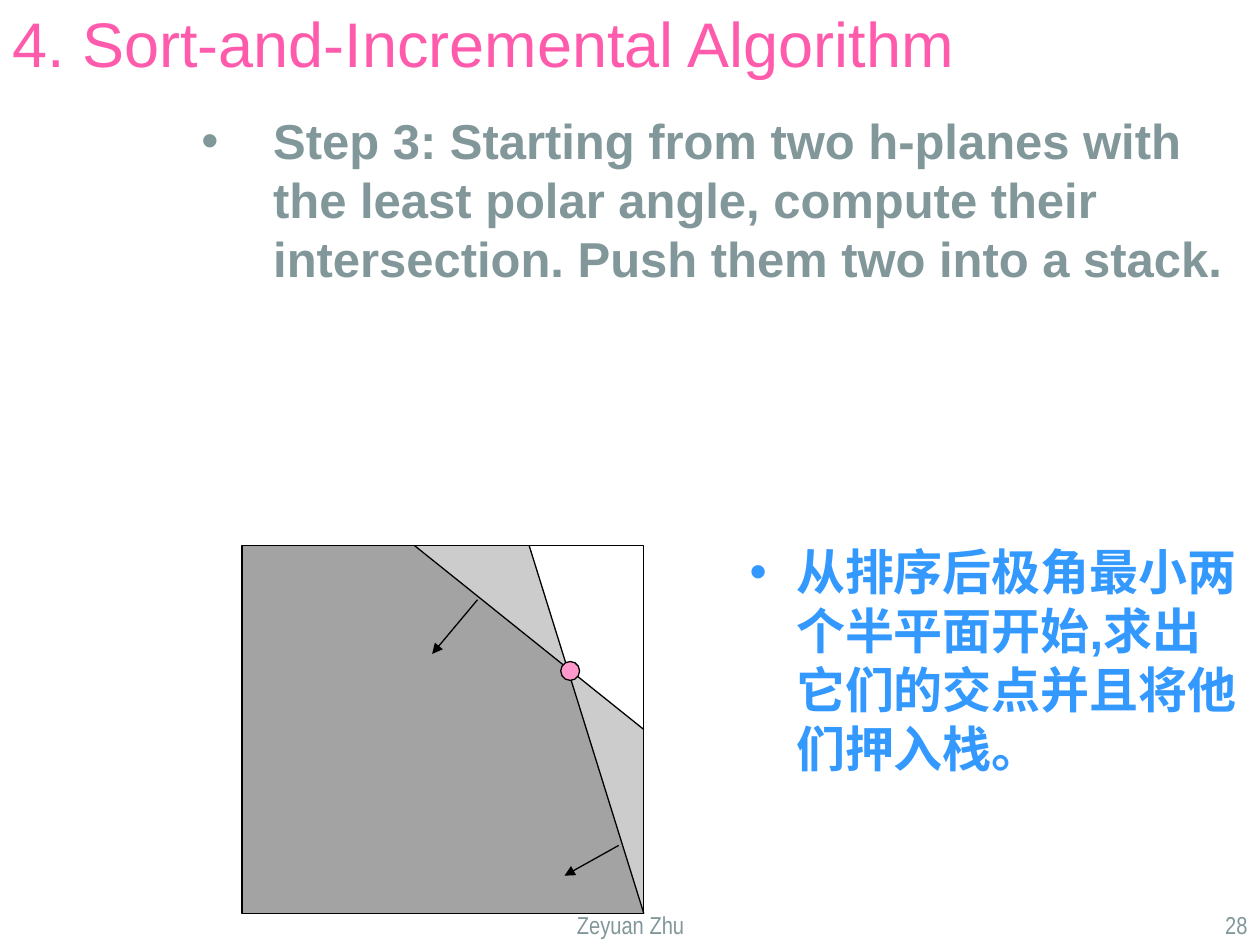
from dataclasses import dataclass

from lxml import etree
from pptx import Presentation
from pptx.dml.color import RGBColor
from pptx.enum.shapes import MSO_CONNECTOR as CONNECTOR, MSO_SHAPE as SHAPE
from pptx.enum.text import MSO_ANCHOR as ANCHOR, PP_ALIGN as ALIGN
from pptx.oxml.ns import qn
from pptx.util import Inches, Pt


@dataclass(frozen=True)
class Theme:
    pink: str = "FF5BAD"
    blue: str = "3399FF"
    gray: str = "82979A"
    black: str = "000000"
    point: str = "FF99CC"
    font: str = "Arial"
    footer_font: str = "Arial Narrow"
    title_size: int = 36
    body_size: int = 28
    footer_size: int = 14
    body_leading: float = 33.7
    line_width: float = 0.74
    shade_opacity: int = 20


THEME = Theme()


def rgb(color):
    return RGBColor.from_string(color)


def add_text(slide, box, text, size, color, font=THEME.font, bold=False,
             align=ALIGN.LEFT, anchor=ANCHOR.TOP):
    frame = slide.shapes.add_textbox(*map(Inches, box)).text_frame
    frame.word_wrap = True
    frame.vertical_anchor = anchor
    frame.text = text
    paragraph = frame.paragraphs[0]
    paragraph.alignment = align
    style = paragraph.runs[0].font
    style.name, style.size, style.bold = font, Pt(size), bold
    style.color.rgb = rgb(color)
    return paragraph


def add_bullet(slide, box, text, color, margin, hanging):
    paragraph = add_text(slide, box, text, THEME.body_size, color, bold=True)
    paragraph.space_before = Pt(7)
    paragraph.line_spacing = Pt(THEME.body_leading)
    props = paragraph._p.get_or_add_pPr()
    props.set("marL", str(Inches(margin)))
    props.set("indent", str(-Inches(hanging)))
    bullet_color = etree.SubElement(props, qn("a:buClr"))
    etree.SubElement(bullet_color, qn("a:srgbClr"), val=color)
    etree.SubElement(props, qn("a:buFont"), typeface=THEME.font)
    etree.SubElement(props, qn("a:buChar"), char="•")


def outline(shape):
    shape.line.color.rgb = rgb(THEME.black)
    shape.line.width = Pt(THEME.line_width)


def add_line(shapes, start, end, arrow=False):
    line = shapes.add_connector(CONNECTOR.STRAIGHT, *start, *end)
    outline(line)
    etree.SubElement(line._element.spPr, qn("a:effectLst"))
    if arrow:
        etree.SubElement(line.line._get_or_add_ln(), qn("a:tailEnd"), type="triangle")


def add_shade(shapes, corners):
    builder = shapes.build_freeform(*corners[0])
    builder.add_line_segments(corners[1:], close=True)
    shade = builder.convert_to_shape()
    shade.shadow.inherit = False
    shade.fill.solid()
    shade.fill.fore_color.rgb = rgb(THEME.black)
    shade.line.fill.background()
    color = shade._element.spPr.find(qn("a:solidFill"))[0]
    etree.SubElement(color, qn("a:alpha"), val=str(THEME.shade_opacity * 1000))


def add_outlined_shape(slide, kind, box):
    shape = slide.shapes.add_shape(kind, *map(Inches, box))
    shape.shadow.inherit = False
    shape.fill.background()
    outline(shape)
    return shape


def draw_half_planes(slide, box):
    left, top, width, height = box

    def place(point):
        return Inches(left + point[0]), Inches(top + point[1])

    def half_plane(corners, border, normal, shade_first):
        group = slide.shapes.add_group_shape().shapes
        corners, border, normal = [list(map(place, part))
                                   for part in (corners, border, normal)]
        if shade_first:
            add_shade(group, corners)
        add_line(group, *border)
        add_line(group, *normal, arrow=True)
        if not shade_first:
            add_shade(group, corners)

    # Bounding frame
    add_outlined_shape(slide, SHAPE.RECTANGLE, box)

    # Steep and shallow half-planes, each with its inward normal
    top_left, bottom_left, bottom_right = (0, 0), (0, height), (width, height)
    steep = [(2.28, 0), bottom_right]
    shallow = [(1.37, 0), (width, 1.46)]
    half_plane([top_left, *steep, bottom_left], steep,
               [(2.99, 2.38), (2.56, 2.62)], shade_first=True)
    half_plane([top_left, *shallow, bottom_right, bottom_left], shallow,
               [(1.87, 0.43), (1.51, 0.86)], shade_first=False)

    # Intersection point
    crossing = add_outlined_shape(slide, SHAPE.OVAL,
                                  (left + 2.53, top + 0.92, 0.15, 0.15))
    crossing.fill.solid()
    crossing.fill.fore_color.rgb = rgb(THEME.point)


def add_footer(slide, box, author, number):
    left, top, width, height = box
    for text, start, span, align in ((author, 0, 3.17, ALIGN.CENTER),
                                     (number, width - 2.08, 2.08, ALIGN.RIGHT)):
        add_text(slide, (left + start, top, span, height), text,
                 THEME.footer_size, THEME.gray, THEME.footer_font, align=align)


def build_slide(deck):
    slide = deck.slides.add_slide(deck.slide_layouts[6])

    # Title
    add_text(slide, (0, 0, 8.17, 0.67), "4. Sort-and-Incremental Algorithm",
             THEME.title_size, THEME.pink, anchor=ANCHOR.MIDDLE)

    # Step in Chinese and English
    add_bullet(slide, (5.75, 4.25, 4.25, 3.25),
               "从排序后极角最小两个半平面开始,求出它们的交点并且将他们押入栈。".replace(",", ","),
               THEME.blue, margin=0.47, hanging=0.37)
    add_bullet(slide, (1.5, 0.83, 8.5, 2.75),
               "Step 3: Starting from two h-planes with the least polar angle, "
               "compute their intersection. Push them two into a stack.",
               THEME.gray, margin=0.57, hanging=0.57)

    # Diagram and footer
    draw_half_planes(slide, (1.92, 4.33, 3.19, 2.92))
    add_footer(slide, (3.42, 7.17, 6.58, 0.33), "Zeyuan Zhu", "28")


deck = Presentation()
deck.slide_width, deck.slide_height = Inches(10), Inches(7.5)
build_slide(deck)
deck.save("out.pptx")
